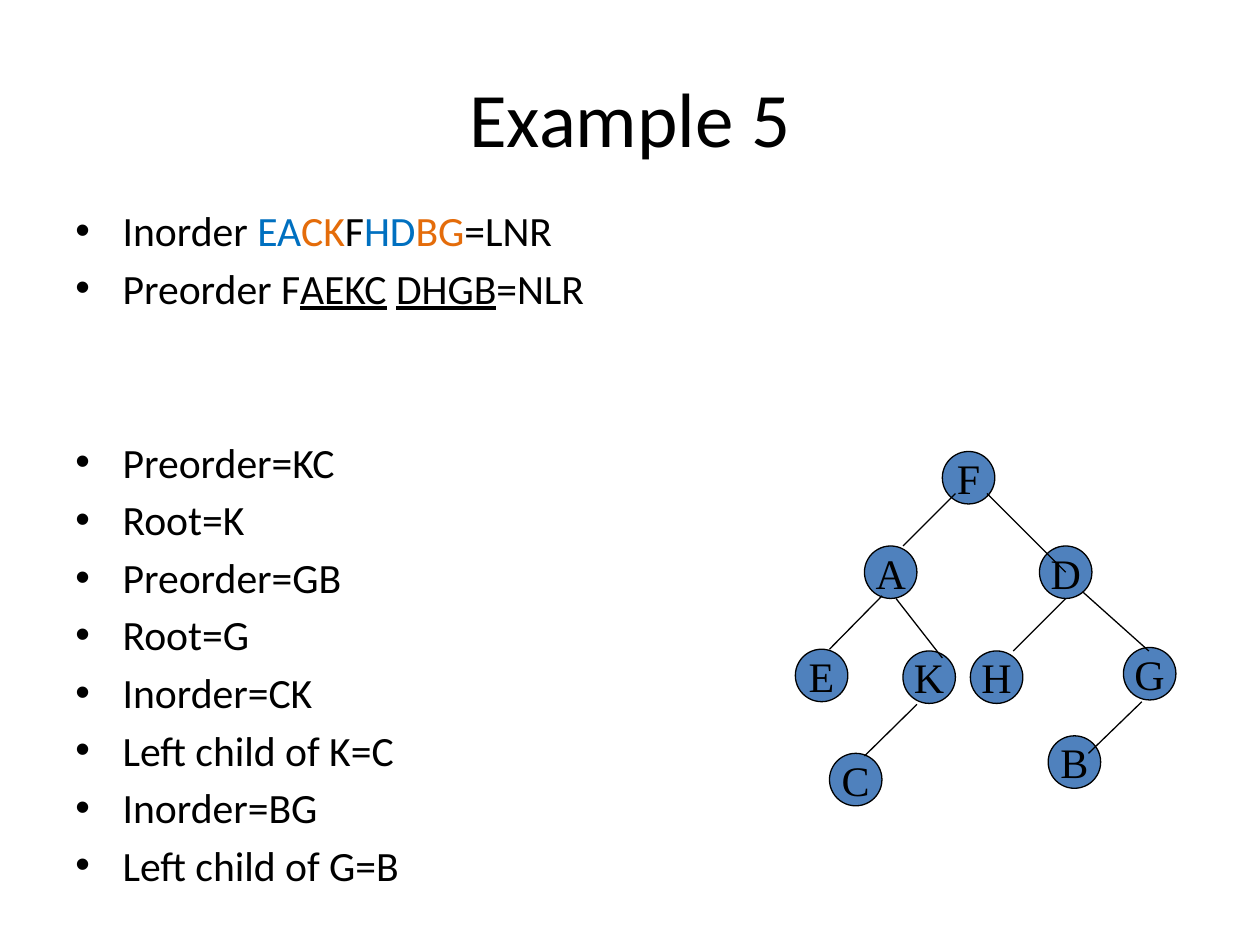
from lxml import etree
from pptx import Presentation
from pptx.dml.color import RGBColor
from pptx.enum.shapes import MSO_CONNECTOR, MSO_SHAPE
from pptx.enum.text import MSO_ANCHOR, PP_ALIGN
from pptx.oxml.ns import qn
from pptx.util import Pt

OVAL = MSO_SHAPE.OVAL
STRAIGHT = MSO_CONNECTOR.STRAIGHT
CENTER = PP_ALIGN.CENTER
MIDDLE = MSO_ANCHOR.MIDDLE

COLORS = {
    "black": "000000",
    "node": "4F81BD",
    "blue": "0070C0",
    "orange": "E46C0A",
}

NODE_SIZE = 30
BULLET_INDENT = 27
BULLET_GAP = 4.3
SECTION_GAP = 71

BULLETS = [
    [("Inorder ", "black", False), ("EA", "blue", False), ("CK", "orange", False),
     ("F", "black", False), ("HD", "blue", False), ("BG", "orange", False),
     ("=LNR", "black", False)],
    [("Preorder F", "black", False), ("AEKC", "black", True), (" ", "black", False),
     ("DHGB", "black", True), ("=NLR", "black", False)],
] + [
    [(text, "black", False)]
    for text in ("Preorder=KC", "Root=K", "Preorder=GB", "Root=G", "Inorder=CK",
                 "Left child of K=C", "Inorder=BG", "Left child of G=B")
]
SECTION_START = 2

NODES = {
    "F": (538.5, 258),
    "A": (494, 312),
    "D": (594, 312),
    "E": (454.5, 371),
    "K": (516, 372),
    "H": (554.5, 372),
    "G": (642, 370),
    "C": (474, 430.5),
    "B": (599, 420.5),
}

EDGES = {
    "FA": (546, 282, 516, 312),
    "FD": (564, 282, 609, 327),
    "AE": (504, 340.5, 474, 371),
    "AK": (512, 342, 538.5, 376),
    "DH": (609, 342, 579, 372),
    "DG": (619, 338.5, 656.5, 372),
    "KC": (524, 402.5, 494, 432),
    "GB": (652.5, 401, 622, 430.5),
}


class TreeSlide:
    text_font = "Calibri"
    node_font = "Times New Roman"
    title_size = 44
    bullet_size = 23.8
    node_text_size = 24
    line_width = 0.75

    def __init__(self, presentation):
        self.slide = presentation.slides.add_slide(presentation.slide_layouts[5])

    def format_run(self, run, font, size, color="black", underline=False):
        run.font.name = font
        run.font.size = Pt(size)
        run.font.color.rgb = RGBColor.from_string(COLORS[color])
        if underline:
            run.font.underline = True

    def format_line(self, line):
        line.color.rgb = RGBColor.from_string(COLORS["black"])
        line.width = Pt(self.line_width)

    def title(self, text, left, top, width, height):
        shape = self.slide.shapes.title
        shape.left, shape.top = Pt(left), Pt(top)
        shape.width, shape.height = Pt(width), Pt(height)
        shape.text_frame.text = text
        shape.text_frame.vertical_anchor = MIDDLE
        paragraph = shape.text_frame.paragraphs[0]
        paragraph.alignment = CENTER
        self.format_run(paragraph.runs[0], self.text_font, self.title_size)

    def bullets(self, items, left, top, width, height):
        shape = self.slide.shapes.add_textbox(Pt(left), Pt(top), Pt(width), Pt(height))
        frame = shape.text_frame
        frame.word_wrap = True
        for index, parts in enumerate(items):
            paragraph = frame.add_paragraph() if index else frame.paragraphs[0]
            gap = SECTION_GAP if index == SECTION_START else BULLET_GAP
            paragraph.space_before = Pt(gap)
            properties = paragraph._p.get_or_add_pPr()
            properties.set("marL", str(Pt(BULLET_INDENT)))
            properties.set("indent", str(-Pt(BULLET_INDENT)))
            etree.SubElement(properties, qn("a:buFont")).set("typeface", "Arial")
            etree.SubElement(properties, qn("a:buChar")).set("char", "•")
            for text, color, underline in parts:
                run = paragraph.add_run()
                run.text = text
                self.format_run(run, self.text_font, self.bullet_size, color, underline)

    def node(self, letter, left, top):
        shape = self.slide.shapes.add_shape(
            OVAL, Pt(left), Pt(top), Pt(NODE_SIZE), Pt(NODE_SIZE))
        shape.shadow.inherit = False
        shape.fill.solid()
        shape.fill.fore_color.rgb = RGBColor.from_string(COLORS["node"])
        self.format_line(shape.line)
        frame = shape.text_frame
        frame.text = letter
        frame.word_wrap = False
        frame.vertical_anchor = MIDDLE
        paragraph = frame.paragraphs[0]
        paragraph.alignment = CENTER
        self.format_run(paragraph.runs[0], self.node_font, self.node_text_size)

    def edge(self, *ends):
        connector = self.slide.shapes.add_connector(STRAIGHT, *(Pt(end) for end in ends))
        self.format_line(connector.line)
        etree.SubElement(connector._element.spPr, qn("a:effectLst"))


def main():
    presentation = Presentation()
    presentation.slide_width = Pt(720)
    presentation.slide_height = Pt(540)
    slide = TreeSlide(presentation)
    slide.title("Example 5", 36, 21.6, 648, 90)
    slide.bullets(BULLETS, 36, 113.5, 648, 356.5)
    for letter, position in NODES.items():
        slide.node(letter, *position)
    for ends in EDGES.values():
        slide.edge(*ends)
    presentation.save("out.pptx")


if __name__ == "__main__":
    main()
